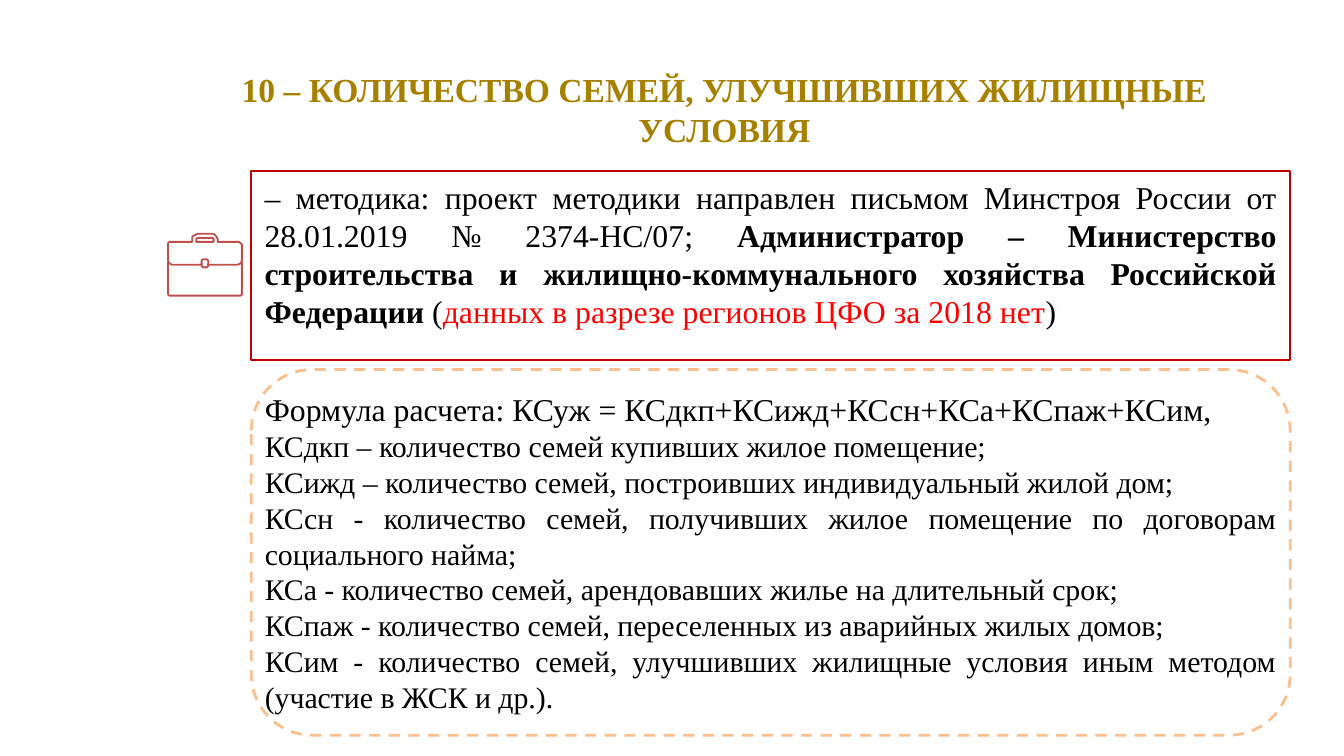
import pptx
import pptx.util
import pptx.dml.color
import pptx.enum.dml
import pptx.enum.shapes
import pptx.enum.text
import pptx.oxml.ns
import lxml.etree

Inches, Pt = pptx.util.Inches, pptx.util.Pt
RGB = pptx.dml.color.RGBColor.from_string
ALIGN = pptx.enum.text.PP_ALIGN
SHAPE = pptx.enum.shapes.MSO_SHAPE

THEME = {
    "font": "Times New Roman",
    "title": "A88000", "text": "000000", "alert": "FF0000", "paper": "FFFFFF",
    "method_line": "C00000", "formula_line": "FAC090", "icon": "C0504D",
    "title_size": 18, "lead_size": 17, "list_size": 16,
}

# Content
TITLE = "10 – КОЛИЧЕСТВО СЕМЕЙ, УЛУЧШИВШИХ ЖИЛИЩНЫЕ УСЛОВИЯ"
METHOD = [  # text, bold, colour
    ("– методика: проект методики направлен письмом Минстроя России от "
     "28.01.2019 № 2374-НС/07; ", False, "text"),
    ("Администратор – Министерство строительства и жилищно-коммунального "
     "хозяйства Российской Федерации ", True, "text"),
    ("(", False, "text"),
    ("данных в разрезе регионов ЦФО за 2018 нет", False, "alert"),
    (")", False, "text"),
]
FORMULA = [
    "Формула расчета: КСуж = КСдкп+КСижд+КСсн+КСа+КСпаж+КСим, ",
    "КСдкп – количество семей купивших жилое помещение; ",
    "КСижд – количество семей, построивших индивидуальный жилой дом; ",
    "КСсн - количество семей, получивших жилое помещение по договорам социального найма; ",
    "КСа - количество семей, арендовавших жилье на длительный срок; ",
    "КСпаж - количество семей, переселенных из аварийных жилых домов; ",
    "КСим - количество семей, улучшивших жилищные условия иным методом (участие в ЖСК и др.).",
]

# Layout, in inches
LEFT, WIDTH = 1.87, 7.73
TITLE_BOX = (1.17, 0.47, 8.44, 0.51)
METHOD_FRAME, METHOD_TEXT = (LEFT, 1.27, WIDTH, 1.41), (LEFT, 1.27, WIDTH, 1.25)
FORMULA_FRAME, FORMULA_TEXT = (LEFT, 2.75, WIDTH, 2.72), (LEFT, 2.85, WIDTH, 2.54)

# Briefcase outlines: (contours, closed)
BRIEFCASE = [
    ([[(1.78, 1.8), (1.62, 1.8), (1.62, 1.78), (1.61, 1.76), (1.59, 1.74),
       (1.57, 1.74), (1.47, 1.74), (1.45, 1.75), (1.43, 1.76), (1.43, 1.78),
       (1.43, 1.8), (1.27, 1.8), (1.26, 1.8), (1.25, 1.81), (1.25, 1.82),
       (1.25, 1.94), (1.26, 1.96), (1.28, 1.97), (1.5, 1.97), (1.5, 1.94),
       (1.51, 1.93), (1.54, 1.93), (1.55, 1.94), (1.55, 1.97), (1.77, 1.97),
       (1.79, 1.96), (1.8, 1.94), (1.8, 1.82), (1.79, 1.81)],
      [(1.59, 1.8), (1.46, 1.8), (1.46, 1.78), (1.47, 1.77), (1.57, 1.77),
       (1.58, 1.77), (1.59, 1.78)]], True),
    ([[(1.55, 1.96), (1.55, 1.98), (1.54, 1.99), (1.51, 1.99), (1.5, 1.98),
       (1.5, 1.96)]], False),
    ([[(1.25, 1.95), (1.25, 2.19), (1.26, 2.2), (1.27, 2.2), (1.78, 2.2),
       (1.79, 2.2), (1.8, 2.19), (1.8, 1.95)]], False),
]


def place(shape, box):
    shape.left, shape.top, shape.width, shape.height = map(Inches, box)


def style_font(font, size, color, bold=False):
    font.name, font.size, font.bold = THEME["font"], Pt(size), bold
    font.color.rgb = RGB(THEME[color])


def outline(shape, color, width):
    shape.shadow.inherit = False
    shape.line.color.rgb = RGB(THEME[color])
    shape.line.width = Pt(width)


def add_frame(slide, kind, box, color, width):
    frame = slide.shapes.add_shape(kind, *map(Inches, box))
    frame.fill.solid()
    frame.fill.fore_color.rgb = RGB(THEME["paper"])
    outline(frame, color, width)
    return frame


def prepare_text(shape):
    text = shape.text_frame
    text.word_wrap = True
    text.auto_size = pptx.enum.text.MSO_AUTO_SIZE.SHAPE_TO_FIT_TEXT
    text.vertical_anchor = pptx.enum.text.MSO_ANCHOR.TOP
    return text


def add_briefcase(slide):
    for contours, closed in BRIEFCASE:
        builder = None
        for contour in contours:
            start, *rest = [(Inches(x), Inches(y)) for x, y in contour]
            if builder is None:
                builder = slide.shapes.build_freeform(*start)
            else:
                builder.move_to(*start)
            builder.add_line_segments(rest, close=closed)
        part = builder.convert_to_shape()
        part.fill.background()
        outline(part, "icon", 1)


def main():
    deck = pptx.Presentation()
    deck.slide_width = Inches(10)
    deck.slide_height = deck.slide_width * 9 // 16
    slide = deck.slides.add_slide(deck.slide_layouts[1])
    title, formula = slide.placeholders

    # Title
    place(title, TITLE_BOX)
    heading = title.text_frame
    heading.text = TITLE
    heading.word_wrap = True
    heading.auto_size = pptx.enum.text.MSO_AUTO_SIZE.NONE
    heading.vertical_anchor = pptx.enum.text.MSO_ANCHOR.TOP
    heading.margin_left = heading.margin_right = Inches(0.07)
    heading.margin_top = heading.margin_bottom = Inches(0.04)
    heading.paragraphs[0].alignment = ALIGN.CENTER
    style_font(heading.paragraphs[0].font, THEME["title_size"], "title", True)

    # Frames
    formula_frame = add_frame(slide, SHAPE.ROUNDED_RECTANGLE, FORMULA_FRAME,
                              "formula_line", 1.5)
    formula_frame.line.dash_style = pptx.enum.dml.MSO_LINE.DASH
    add_frame(slide, SHAPE.RECTANGLE, METHOD_FRAME, "method_line", 1)

    # Method
    method = slide.shapes.add_textbox(*map(Inches, METHOD_TEXT))
    paragraph = prepare_text(method).paragraphs[0]
    paragraph.alignment = ALIGN.JUSTIFY
    for words, bold, color in METHOD:
        run = paragraph.add_run()
        run.text = words
        style_font(run.font, THEME["lead_size"], color, bold)

    # Formula list, brought in front of its frame
    place(formula, FORMULA_TEXT)
    method._element.addnext(formula._element)
    formula_text = prepare_text(formula)
    formula_text.text = "\n".join(FORMULA)
    for i, paragraph in enumerate(formula_text.paragraphs):
        paragraph.alignment = ALIGN.JUSTIFY
        paragraph.space_before = Pt(0)
        properties = paragraph._p.get_or_add_pPr()
        properties.set("marL", "0")
        properties.set("indent", "0")
        lxml.etree.SubElement(properties, pptx.oxml.ns.qn("a:buNone"))
        style_font(paragraph.font, THEME["list_size" if i else "lead_size"], "text")

    add_briefcase(slide)
    deck.save("out.pptx")


if __name__ == "__main__":
    main()
